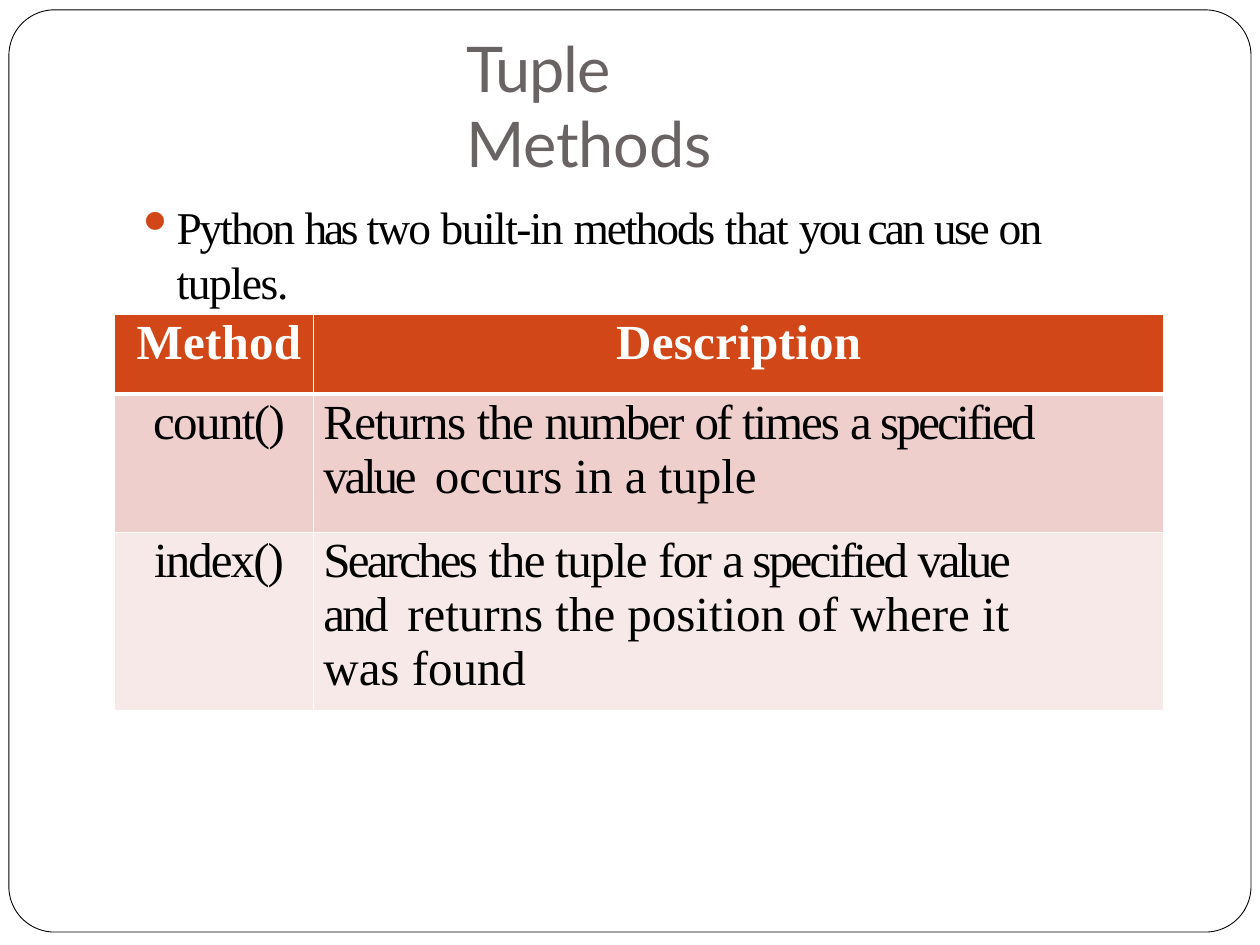
from lxml.etree import SubElement
from pptx import Presentation
from pptx.dml.color import RGBColor
from pptx.enum.shapes import MSO_SHAPE
from pptx.enum.text import MSO_ANCHOR, MSO_AUTO_SIZE, PP_ALIGN
from pptx.oxml.ns import qn
from pptx.util import Cm, Pt

BLACK = RGBColor(0x00, 0x00, 0x00)
WHITE = RGBColor(0xFF, 0xFF, 0xFF)
GREY = RGBColor(0x69, 0x63, 0x63)
ORANGE = RGBColor(0xD2, 0x47, 0x17)
ROSE = RGBColor(0xEE, 0xCF, 0xCC)
PALE_ROSE = RGBColor(0xF7, 0xE9, 0xE7)

TITLE_FONT = {"name": "Lato", "size": Pt(36), "bold": False}
BODY_FONT = {"name": "Times New Roman", "size": Pt(26), "bold": False}
HEADER_FONT = {"name": "Times New Roman", "size": Pt(28), "bold": True}
CELL_FONT = HEADER_FONT | {"bold": False}
FRAME_FORMAT = {"word_wrap": True, "auto_size": MSO_AUTO_SIZE.SHAPE_TO_FIT_TEXT,
                "vertical_anchor": MSO_ANCHOR.TOP, "margin_left": 0,
                "margin_top": Cm(0.03), "margin_right": 0, "margin_bottom": 0}
CELL_FORMAT = {"margin_left": 0, "margin_top": Cm(0.03), "margin_right": 0,
               "margin_bottom": 0, "vertical_anchor": MSO_ANCHOR.TOP}

# Wording, as (text, letter spacing in points)
TITLE = [("Tuple ", -0.7), ("Methods", -0.1)]
INTRO = [("Python ", -1.2), ("has ", -1.9), ("two ", -1.1), ("built-in ", -0.9),
         ("methods ", -1.2), ("that ", -0.8), ("you can ", -1.6), ("use ", -1.4),
         ("on ", -1.1), ("tuples.", -0.8)]
METHODS = [
    ([("Method", 0.2)], [("Description", 0.2)]),
    ([("count()", -0.9)],
     [("Returns ", -0.9), ("the ", -0.8), ("number ", -1.1), ("of ", -1.6),
      ("times ", -1.2), ("a ", -2.2), ("specified ", -1.5), ("value  ", -1.8),
      ("occurs in a tuple", 0)]),
    ([("index()", -1.1)],
     [("Searches", -1.6), (" the tuple ", -0.8), ("for ", -1), ("a ", -2.2),
      ("specified ", -1.5), ("value ", -1.8), ("and  ", -1.6),
      ("returns the position of where it was found", 0)]),
]


def apply(target, values):
    for key, value in values.items():
        setattr(target, key, value)


class SlideBuilder:
    def __init__(self, slide):
        self.slide = slide

    def fill_paragraph(self, paragraph, runs, font, color, align=PP_ALIGN.LEFT,
                       before=0.9, indent=(0, 0)):
        apply(paragraph, {"alignment": align, "space_before": Pt(before)})
        properties = paragraph._p.get_or_add_pPr()
        for key, length in zip(("marL", "indent"), indent):
            properties.set(key, str(Cm(length)))
        for text, spacing in runs:
            run = paragraph.add_run()
            run.text = text
            apply(run.font, font)
            run.font.color.rgb = color
            run.font._element.set("spc", str(round(spacing * 100)))

    def border(self, left, top, width, height, radius):
        outline = self.slide.shapes.add_shape(
            MSO_SHAPE.ROUNDED_RECTANGLE, Cm(left), Cm(top), Cm(width), Cm(height))
        outline.adjustments[0] = radius / height
        outline.shadow.inherit = False
        outline.fill.background()
        outline.line.color.rgb = BLACK
        outline.line.width = Pt(0.5)

    def title(self, runs, left, top, width, height):
        heading = self.slide.shapes.title
        apply(heading, {"left": Cm(left), "top": Cm(top),
                        "width": Cm(width), "height": Cm(height)})
        apply(heading.text_frame, FRAME_FORMAT)
        self.fill_paragraph(heading.text_frame.paragraphs[0], runs, TITLE_FONT, GREY,
                            before=1, indent=(0.03, 0))

    def bullet(self, runs, left, top, width, height):
        box = self.slide.shapes.add_textbox(Cm(left), Cm(top), Cm(width), Cm(height))
        apply(box.text_frame, FRAME_FORMAT)
        paragraph = box.text_frame.paragraphs[0]
        self.fill_paragraph(paragraph, runs, BODY_FONT, BLACK,
                            before=1.1, indent=(0.79, -0.76))
        properties = paragraph._p.get_or_add_pPr()
        SubElement(SubElement(properties, qn("a:buClr")), qn("a:srgbClr"), val=str(ORANGE))
        SubElement(properties, qn("a:buSzPct"), val="85000")
        SubElement(properties, qn("a:buChar"), char="⚫")

    def cell_borders(self, cell, widths):
        properties = cell._tc.get_or_add_tcPr()
        for side, width in zip("LRTB", widths):
            line = SubElement(properties, qn(f"a:ln{side}"), w=str(Pt(width)))
            SubElement(SubElement(line, qn("a:solidFill")), qn("a:srgbClr"), val=str(WHITE))

    def table(self, rows, left, top, col_widths, row_heights):
        grid = self.slide.shapes.add_table(
            len(rows), len(col_widths), Cm(left), Cm(top),
            Cm(sum(col_widths)), Cm(sum(row_heights))).table
        for column, width in zip(grid.columns, col_widths):
            column.width = Cm(width)
        # One look per row: fill, font, text colour, border widths (L, R, T, B)
        looks = [(ORANGE, HEADER_FONT, WHITE, (1, 1, 1, 3)),
                 (ROSE, CELL_FONT, BLACK, (1, 1, 3, 1)),
                 (PALE_ROSE, CELL_FONT, BLACK, (1, 1, 1, 1))]
        for r, (texts, height, look) in enumerate(zip(rows, row_heights, looks)):
            fill, font, color, widths = look
            grid.rows[r].height = Cm(height)
            for c, runs in enumerate(texts):
                cell = grid.cell(r, c)
                description = r > 0 and c == 1
                apply(cell, CELL_FORMAT)
                if description:
                    cell.margin_right = Cm(1.8)
                self.cell_borders(cell, widths)
                cell.fill.solid()
                cell.fill.fore_color.rgb = fill
                self.fill_paragraph(cell.text_frame.paragraphs[0], runs, font, color,
                                    PP_ALIGN.LEFT if description else PP_ALIGN.CENTER,
                                    indent=(0 if (r, c) == (0, 1) else 0.2, 0))


def main():
    deck = Presentation()
    apply(deck, {"slide_width": Cm(25.4), "slide_height": Cm(19.05)})
    builder = SlideBuilder(deck.slides.add_slide(deck.slide_layouts[5]))

    # Rounded border, heading and introduction
    builder.border(0.18, 0.2, 25.04, 18.59, radius=0.92)
    builder.title(TITLE, 9.37, 0.56, 7.92, 1.6)
    builder.bullet(INTRO, 2.77, 3.99, 20.55, 1.17)

    # Table of tuple methods
    builder.table(METHODS, 2.31, 6.34, (4.01, 17.15), (1.6, 2.79, 2.79))
    deck.save("out.pptx")


if __name__ == "__main__":
    main()
